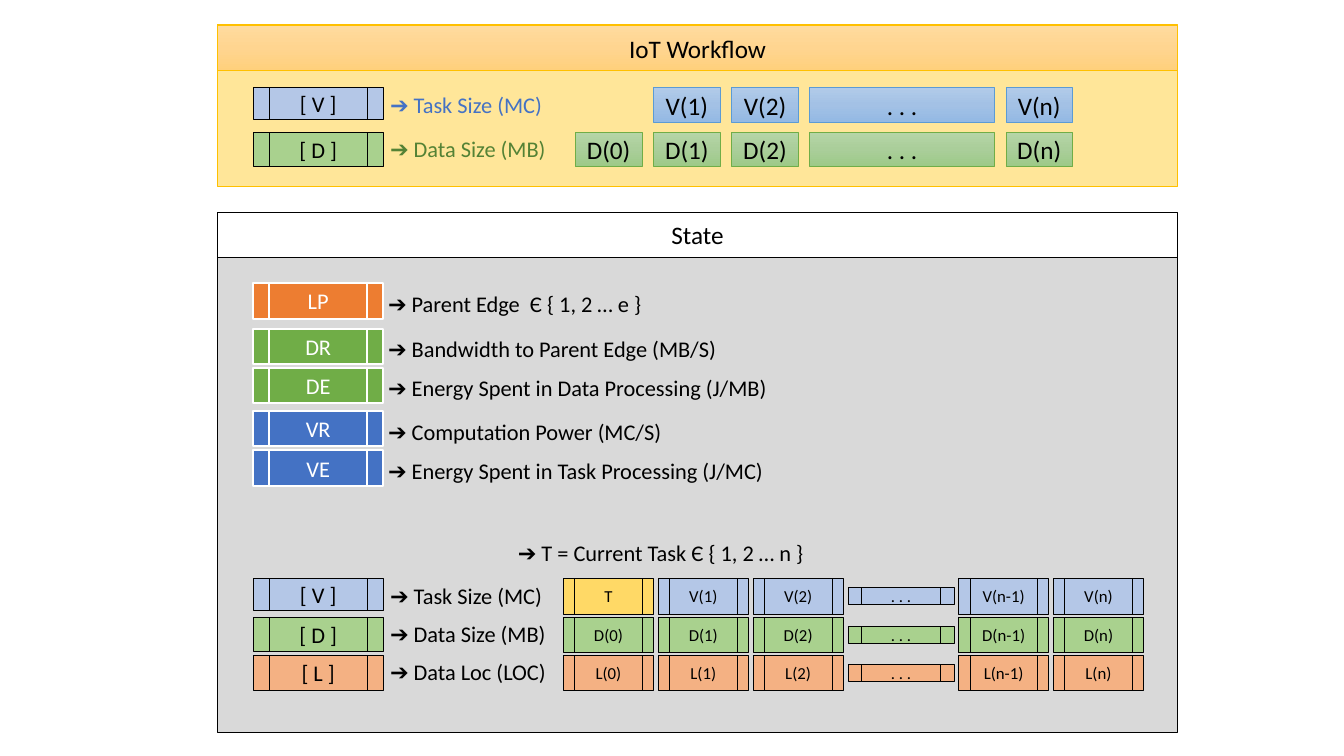
"""Build the IoT workflow and state diagram slide."""
import copy

import pptx
import pptx.dml.color
import pptx.enum.shapes
import pptx.enum.text
import pptx.oxml.ns
import pptx.util

Cm, Pt = pptx.util.Cm, pptx.util.Pt
SHAPE = pptx.enum.shapes.MSO_SHAPE
RECT, PROCESS = SHAPE.RECTANGLE, SHAPE.FLOWCHART_PREDEFINED_PROCESS

COLORS = {
    "black": "000000", "white": "FFFFFF", "panel": "FFE699", "amber": "FFC000",
    "gray": "D9D9D9", "orange": "ED7D31", "green": "70AD47", "blue": "4472C4",
    "sky": "5B9BD5", "dark green": "548235", "light blue": "B4C7E7",
    "light green": "A9D18E", "light orange": "F4B183", "yellow": "FFD966",
}
GRADIENTS = {
    "amber fade": ("FFDB9E", "FFD590", "FFD07C"),
    "blue fade": ("B1CBE9", "A3C1E5", "93B9E4"),
    "green fade": ("B5D5A7", "AACE9A", "9CC987"),
}

WORKFLOW_ROWS = [
    ("[ V ]", "Task Size (MC)", 2.21, 0.81, "light blue", "blue", "blue fade", "sky",
     ["", "V(1)", "V(2)", ". . .", "V(n)"]),
    ("[ D ]", "Data Size (MB)", 3.33, 0.86, "light green", "dark green", "green fade", "green",
     ["D(0)", "D(1)", "D(2)", ". . .", "D(n)"]),
]
PARAMETERS = [
    ("LP", "Parent Edge  Є { 1, 2 … e }", 7.14, "orange"),
    ("DR", "Bandwidth to Parent Edge (MB/S)", 8.28, "green"),
    ("DE", "Energy Spent in Data Processing (J/MB)", 9.27, "green"),
    ("VR", "Computation Power (MC/S)", 10.36, "blue"),
    ("VE", "Energy Spent in Task Processing (J/MC)", 11.35, "blue"),
]
STATE_ROWS = [
    ("[ V ]", "Task Size (MC)", 14.58, 0.81, "light blue",
     ["T", "V(1)", "V(2)", ". . .", "V(n-1)", "V(n)"]),
    ("[ D ]", "Data Size (MB)", 15.55, 0.86, "light green",
     ["D(0)", "D(1)", "D(2)", ". . .", "D(n-1)", "D(n)"]),
    ("[ L ]", "Data Loc (LOC)", 16.51, 0.89, "light orange",
     ["L(0)", "L(1)", "L(2)", ". . .", "L(n-1)", "L(n)"]),
]
PANEL_X, PANEL_W, HEADER_H = 5.49, 24.18, 1.14
KEY_X, KEY_W, LABEL_X = 6.38, 3.28, 9.58


def rgb(name):
    return pptx.dml.color.RGBColor.from_string(COLORS[name])


def write(sp, text, size, color, align=None):
    p = sp.text_frame.paragraphs[0]
    p.alignment = align
    r = p.add_run()
    r.text = text
    r.font.name, r.font.size = "Calibri", Pt(size)
    r.font.color.rgb = rgb(color)


def paint(sp, fill):
    if fill not in GRADIENTS:
        sp.fill.solid()
        sp.fill.fore_color.rgb = rgb(fill)
        return
    sp.fill.gradient()
    sp.fill.gradient_angle = 270
    stops = next(sp.element.iter(pptx.oxml.ns.qn("a:gsLst")))
    stops.insert(1, copy.deepcopy(stops[0]))
    for i, (stop, color) in enumerate(zip(sp.fill.gradient_stops, GRADIENTS[fill])):
        stop.position = i / 2
        stop.color.rgb = pptx.dml.color.RGBColor.from_string(color)


def add_box(group, kind, x, y, w, h, fill, line="black", text="", size=16,
            color="black", weight=0.5):
    sp = group.shapes.add_shape(kind, Cm(x), Cm(y), Cm(w), Cm(h))
    sp.shadow.inherit = False
    paint(sp, fill)
    sp.line.color.rgb, sp.line.width = rgb(line), Pt(weight)
    if text:
        sp.text_frame.word_wrap = False
        sp.text_frame.vertical_anchor = pptx.enum.text.MSO_ANCHOR.MIDDLE
        write(sp, text, size, color, pptx.enum.text.PP_ALIGN.CENTER)


def add_label(group, x, y, w, text, color="black"):
    sp = group.shapes.add_textbox(Cm(x), Cm(y), Cm(w), Cm(0.94))
    sp.text_frame.word_wrap = True
    sp.text_frame.auto_size = pptx.enum.text.MSO_AUTO_SIZE.SHAPE_TO_FIT_TEXT
    write(sp, f"➔ {text}", 16, color)


def add_key(group, key, label, y, h, fill, color="black"):
    add_box(group, PROCESS, KEY_X, y, KEY_W, h, fill, text=key)
    add_label(group, LABEL_X, y - 0.04, 4.65, label, color)


prs = pptx.Presentation()
prs.slide_width, prs.slide_height = Cm(33.87), Cm(19.05)
s = prs.slides.add_slide(prs.slide_layouts[6])

workflow = s.shapes.add_group_shape()
add_box(workflow, RECT, PANEL_X, 0.61, PANEL_W, 4.09, "panel", "amber")
add_box(workflow, RECT, PANEL_X, 0.64, PANEL_W, HEADER_H, "amber fade", "amber",
        "IoT Workflow", 18)
for key, label, y, h, fill, color, fade, line, cells in WORKFLOW_ROWS:
    add_key(workflow, key, label, y, h, fill, color)
    x = 14.5
    for cell in cells:
        w = 4.65 if cell == ". . ." else 1.68
        if cell:
            add_box(workflow, RECT, x, y, w, 0.87, fade, line, cell, 18)
        x += w + 0.29

state = s.shapes.add_group_shape()
add_box(state, RECT, PANEL_X, 5.79, PANEL_W, 12.67, "gray")
add_box(state, RECT, PANEL_X, 5.35, PANEL_W, HEADER_H, "white", text="State", size=18)
for key, label, y, fill in PARAMETERS:
    add_box(state, PROCESS, KEY_X, y, KEY_W, 0.89, fill, "white", key, color="white", weight=1.5)
    add_label(state, 9.53, y + 0.04, 10.9, label)
add_label(state, 12.8, 13.46, 8.56, "T = Current Task Є { 1, 2 … n }")
for key, label, y, h, fill, cells in STATE_ROWS:
    add_key(state, key, label, y, h, fill)
    x = 14.2
    for cell in cells:
        w, cell_h = (2.67, 0.43) if cell == ". . ." else (2.27, 0.89)
        add_box(state, PROCESS, x, y + (0.89 - cell_h) / 2, w, cell_h,
                "yellow" if cell == "T" else fill, text=cell, size=12)
        x += w + 0.12

prs.save("out.pptx")
